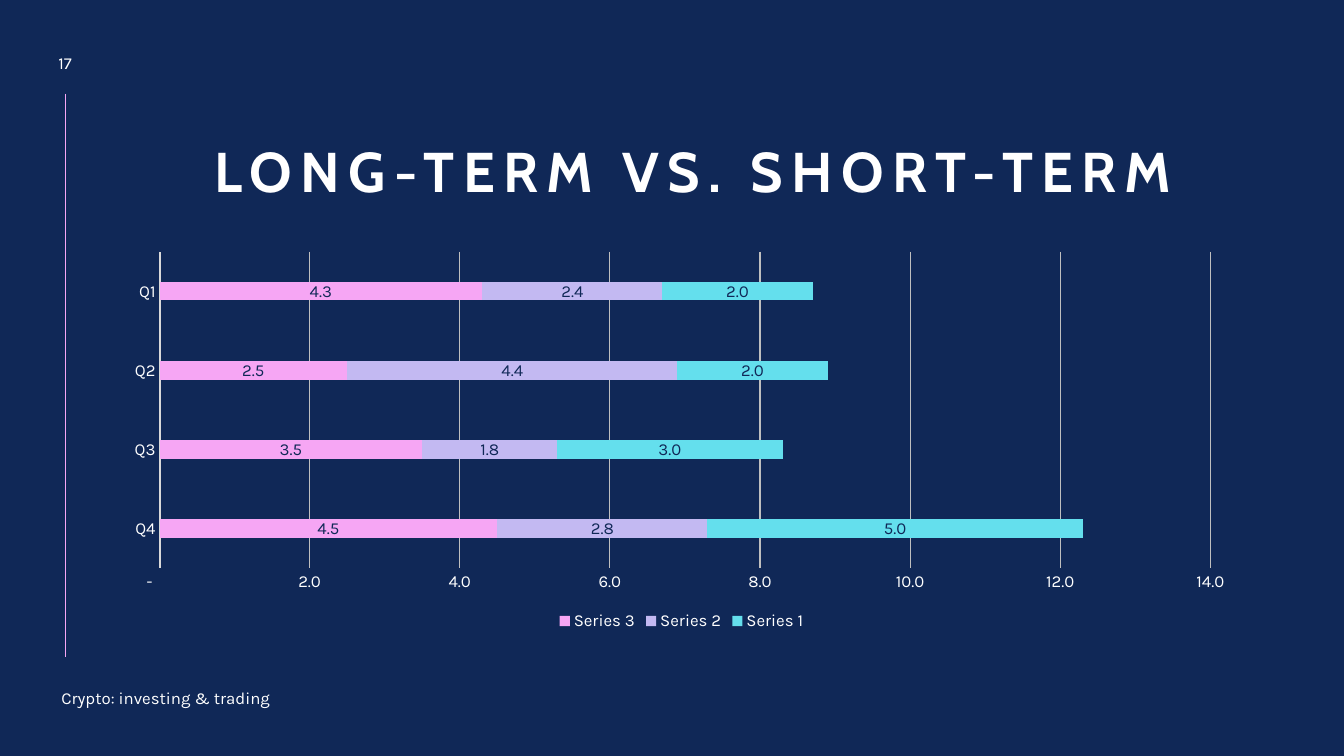
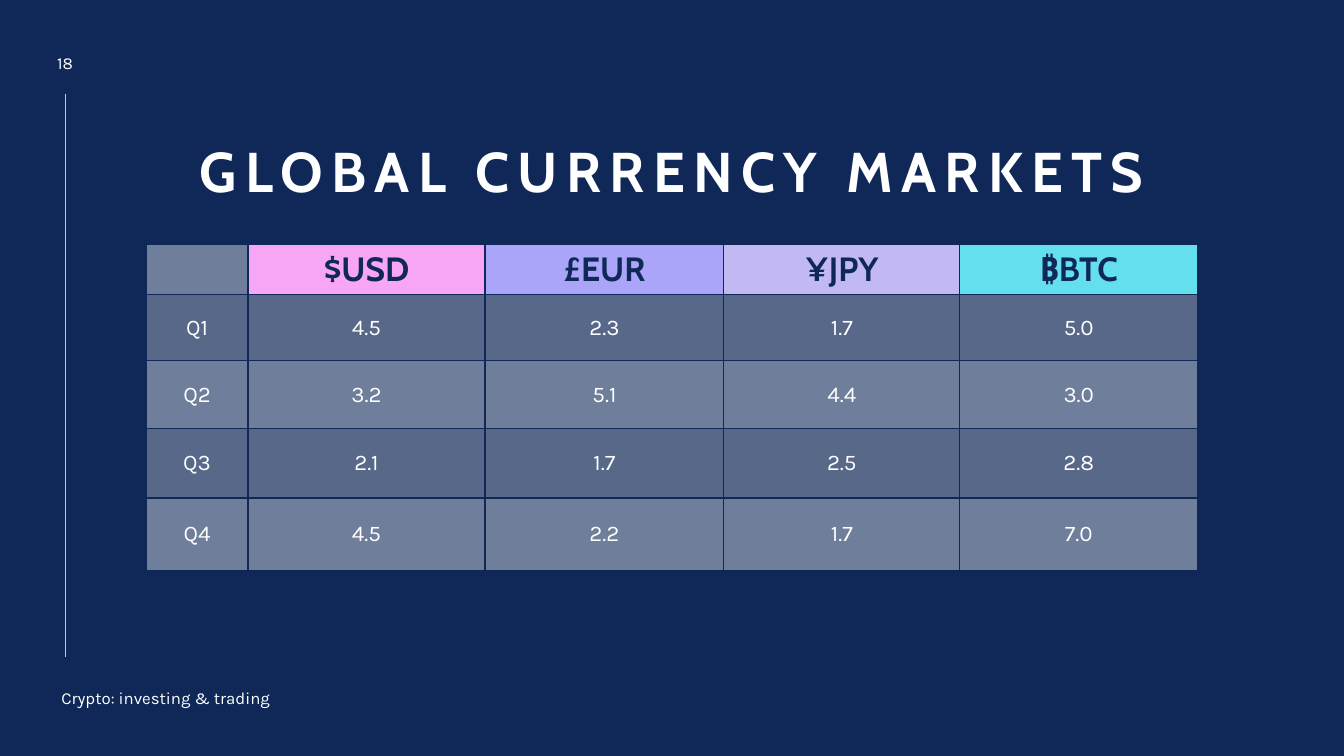
"""Build two crypto slides: a stacked bar chart and a currency table."""
from lxml import etree
from pptx import Presentation
from pptx import util as u
from pptx.chart import data as chart_data
from pptx.dml.color import RGBColor
from pptx.enum import chart as charts, shapes, text
from pptx.oxml import ns

COLORS = {
    "navy": "102857", "white": "FFFFFF", "pink": "F6A6F4", "violet": "AAA5F9",
    "lilac": "C3B9F2", "cyan": "64DFED", "axis": "D9D9D9", "grid": "BFBFBF",
}
TITLE_FONT = {"name": "Cabin", "size": u.Pt(40), "bold": True}
HEADER_FONT = {"name": "Cabin", "size": u.Pt(24), "bold": True}
CELL_FONT = {"name": "Karla", "size": u.Pt(16), "bold": False}
SMALL_FONT = {"name": "Karla", "size": u.Pt(12), "bold": False}
CENTER = {"alignment": text.PP_ALIGN.CENTER}
LEFT = {"alignment": text.PP_ALIGN.LEFT}
FOOTER = "Crypto: investing & trading"
NUMBER_FORMAT = r'_(* #,##0.0_);_(* \(#,##0.0\);_(* "-"??_);_(@_)'

CATEGORIES = ["Q4", "Q3", "Q2", "Q1"]
SERIES = [
    ("Series 3", [4.5, 3.5, 2.5, 4.3], "pink"),
    ("Series 2", [2.8, 1.8, 4.4, 2.4], "lilac"),
    ("Series 1", [5, 3, 2, 2], "cyan"),
]
TABLE_ROWS = [
    ["", "$USD", "£EUR", "¥JPY", "₿BTC"],
    ["Q1", "4.5", "2.3", "1.7", "5.0"],
    ["Q2", "3.2", "5.1", "4.4", "3.0"],
    ["Q3", "2.1", "1.7", "2.5", "2.8"],
    ["Q4", "4.5", "2.2", "1.7", "7.0"],
]
HEADER_FILLS = [None, "pink", "violet", "lilac", "cyan"]
COLUMN_WIDTHS = [1.01, 2.35, 2.37, 2.34, 2.36]
ROW_HEIGHTS = [0.47, 0.66, 0.67, 0.69, 0.72]


def rgb(color):
    """Return the named colour as an RGBColor."""
    return RGBColor.from_string(COLORS[color])


def apply_format(target, formats):
    """Set every attribute in formats on the target."""
    for name, value in formats.items():
        setattr(target, name, value)


def set_font(font, formats, color="white"):
    """Format a font and colour it."""
    apply_format(font, formats)
    font.color.rgb = rgb(color)


def set_line(line, color, width):
    """Give a line its colour and its width in points."""
    line.color.rgb = rgb(color)
    line.width = u.Pt(width)


def place(shape, left, top, width, height):
    """Move and size a shape in inches."""
    apply_format(shape, {
        "left": u.Inches(left), "top": u.Inches(top),
        "width": u.Inches(width), "height": u.Inches(height),
    })


def write(frame, content, font, paragraph_format, color="white"):
    """Write one formatted paragraph and return its run."""
    paragraph = frame.paragraphs[0]
    apply_format(paragraph, paragraph_format)
    run = paragraph.add_run()
    run.text = content
    set_font(run.font, font, color)
    return run


def add_title(slide, content, box):
    """Fill the title placeholder with spaced capitals."""
    place(slide.shapes.title, *box)
    frame = slide.shapes.title.text_frame
    apply_format(frame, {
        "word_wrap": True, "auto_size": text.MSO_AUTO_SIZE.NONE,
        "vertical_anchor": text.MSO_ANCHOR.BOTTOM,
    })
    run = write(frame, content, TITLE_FONT, {**CENTER, "line_spacing": 0.9})
    run.font._element.set("spc", "600")


def add_label(slide, content, box, paragraph_format):
    """Add a small text box, centred vertically."""
    frame = slide.shapes.add_textbox(*map(u.Inches, box)).text_frame
    apply_format(frame, {
        "word_wrap": True, "vertical_anchor": text.MSO_ANCHOR.MIDDLE,
    })
    write(frame, content, SMALL_FONT, paragraph_format)


def add_rail(slide):
    """Draw the vertical line at the left edge."""
    ends = map(u.Inches, (0.65, 0.93, 0.65, 6.52))
    rail = slide.shapes.add_connector(shapes.MSO_CONNECTOR.STRAIGHT, *ends)
    set_line(rail.line, "pink", 0.5)
    etree.SubElement(rail._element.spPr, ns.qn("a:effectLst"))


def add_slide(presentation, number, title, title_box):
    """Add a slide with the shared rail, title, number and footer."""
    slide = presentation.slides.add_slide(presentation.slide_layouts[5])
    add_rail(slide)
    add_title(slide, title, title_box)
    add_label(slide, str(number), (0.36, 0.45, 0.57, 0.34), CENTER)
    add_label(slide, FOOTER, (0.51, 6.77, 2.55, 0.3), LEFT)
    return slide


def format_axes(chart):
    """Style the category and value axes."""
    for axis in (chart.category_axis, chart.value_axis):
        axis.major_tick_mark = charts.XL_TICK_MARK.NONE
        axis.minor_tick_mark = charts.XL_TICK_MARK.NONE
        set_font(axis.tick_labels.font, SMALL_FONT)
    set_line(chart.category_axis.format.line, "axis", 1.5)
    chart.value_axis.format.line.fill.background()
    chart.value_axis.has_major_gridlines = True
    set_line(chart.value_axis.major_gridlines.format.line, "grid", 0.75)
    apply_format(chart.value_axis.tick_labels, {
        "number_format": NUMBER_FORMAT, "number_format_is_linked": False,
    })


def add_bar_chart(slide, box):
    """Add the stacked bar chart with labels and a legend."""
    values = chart_data.CategoryChartData(number_format=NUMBER_FORMAT)
    values.categories = CATEGORIES
    for name, numbers, _ in SERIES:
        values.add_series(name, numbers)
    chart = slide.shapes.add_chart(
        charts.XL_CHART_TYPE.BAR_STACKED, *map(u.Inches, box), values).chart
    set_font(chart.font, {**SMALL_FONT, "size": u.Pt(10)})
    apply_format(chart, {"has_title": False, "has_legend": True})
    apply_format(chart.legend, {
        "position": charts.XL_LEGEND_POSITION.BOTTOM, "include_in_layout": False,
    })
    set_font(chart.legend.font, SMALL_FONT)
    format_axes(chart)
    plot = chart.plots[0]
    apply_format(plot, {
        "gap_width": 326, "overlap": 100, "vary_by_categories": False,
    })
    for series, (_, _, color) in zip(plot.series, SERIES):
        series.format.fill.solid()
        series.format.fill.fore_color.rgb = rgb(color)
        labels = series.data_labels
        apply_format(labels, {
            "show_value": True, "number_format": NUMBER_FORMAT,
            "number_format_is_linked": False,
        })
        set_font(labels.font, SMALL_FONT, "navy")


def fill_cell(cell, color, opacity=100):
    """Fill a cell, with an opacity in percent, and border it in navy."""
    cell.fill.solid()
    cell.fill.fore_color.rgb = rgb(color)
    properties = cell._tc.get_or_add_tcPr()
    if opacity < 100:
        tint = properties.find(".//" + ns.qn("a:srgbClr"))
        etree.SubElement(tint, ns.qn("a:alpha"), val=str(opacity * 1000))
    for index, side in enumerate("LRTB"):
        border = etree.Element(ns.qn(f"a:ln{side}"), w=str(u.Pt(1)))
        solid = etree.SubElement(border, ns.qn("a:solidFill"))
        etree.SubElement(solid, ns.qn("a:srgbClr"), val=COLORS["navy"])
        properties.insert(index, border)


def add_currency_table(slide, left, top):
    """Add the table with a coloured header and translucent bands."""
    table = slide.shapes.add_table(
        len(TABLE_ROWS), len(COLUMN_WIDTHS), u.Inches(left), u.Inches(top),
        u.Inches(sum(COLUMN_WIDTHS)), u.Inches(sum(ROW_HEIGHTS))).table
    apply_format(table, {"first_row": False, "horz_banding": False})
    for column, width in zip(table.columns, COLUMN_WIDTHS):
        column.width = u.Inches(width)
    for row, height in zip(table.rows, ROW_HEIGHTS):
        row.height = u.Inches(height)
    for row_index, contents in enumerate(TABLE_ROWS):
        is_header = row_index == 0
        font, color = (HEADER_FONT, "navy") if is_header else (CELL_FONT, "white")
        for column_index, content in enumerate(contents):
            cell = table.cell(row_index, column_index)
            cell.vertical_anchor = text.MSO_ANCHOR.MIDDLE
            if content:
                write(cell.text_frame, content, font, CENTER, color)
            if is_header and HEADER_FILLS[column_index]:
                fill_cell(cell, HEADER_FILLS[column_index])
            else:
                fill_cell(cell, "white", 30 if row_index % 2 else 40)


def main():
    """Build and save the presentation."""
    presentation = Presentation()
    apply_format(presentation, {
        "slide_width": u.Inches(13.33), "slide_height": u.Inches(7.5),
    })
    background = presentation.slide_master.background.fill
    background.solid()
    background.fore_color.rgb = rgb("navy")
    slide = add_slide(presentation, 17, "LONG-TERM VS. SHORT-TERM",
                      (0.93, 0.91, 11.9, 1.17))
    add_bar_chart(slide, (1.11, 2.42, 11.3, 3.88))
    slide = add_slide(presentation, 18, "GLOBAL CURRENCY MARKETS",
                      (1.2, 0.91, 10.93, 1.17))
    add_currency_table(slide, 1.45, 2.42)
    presentation.save("out.pptx")


if __name__ == "__main__":
    main()
